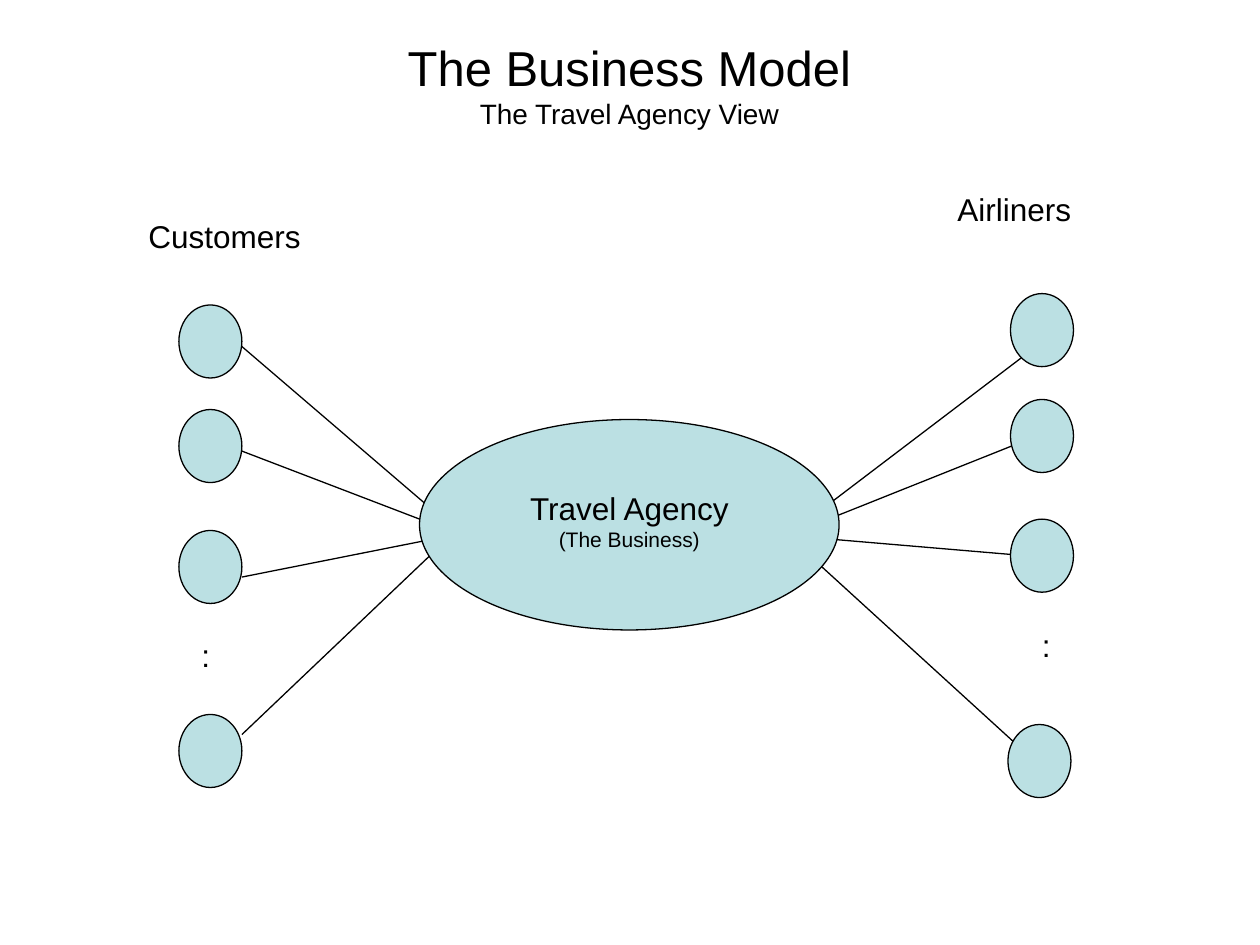
from lxml import etree
from pptx import Presentation
from pptx import util as u
from pptx.dml.color import RGBColor
from pptx.enum import shapes, text
from pptx.oxml.ns import qn

BLACK = RGBColor(0x00, 0x00, 0x00)
TEAL = RGBColor(0xBB, 0xE0, 0xE3)


class Board:
    font = "Arial"
    width = u.Pt(0.75)

    def __init__(self, slide):
        self.slide = slide

    def words(self, shape, rows, align):
        """Fill a shape with (wording, size) paragraphs."""
        frame = shape.text_frame
        frame.word_wrap = False
        frame.auto_size = text.MSO_AUTO_SIZE.NONE
        frame.vertical_anchor = text.MSO_ANCHOR.TOP
        for i, (row, size) in enumerate(rows):
            para = frame.add_paragraph() if i else frame.paragraphs[0]
            para.text = row
            para.alignment = align
            para.font.name = self.font
            para.font.size = u.Pt(size)
            para.font.color.rgb = BLACK

    def title(self, box, rows):
        shape = self.slide.shapes.title
        shape.left, shape.top, shape.width, shape.height = map(u.Inches, box)
        self.words(shape, rows, text.PP_ALIGN.CENTER)

    def label(self, box, rows, align=text.PP_ALIGN.LEFT):
        shape = self.slide.shapes.add_textbox(*map(u.Inches, box))
        self.words(shape, rows, align)

    def oval(self, *box):
        shape = self.slide.shapes.add_shape(
            shapes.MSO_SHAPE.OVAL, *map(u.Inches, box))
        shape.shadow.inherit = False
        shape.fill.solid()
        shape.fill.fore_color.rgb = TEAL
        shape.line.color.rgb = BLACK
        shape.line.width = self.width

    def link(self, start, end):
        line = self.slide.shapes.add_connector(
            shapes.MSO_CONNECTOR.STRAIGHT, *map(u.Inches, start + end))
        line.line.color.rgb = BLACK
        line.line.width = self.width
        etree.SubElement(line._element.spPr, qn("a:effectLst"))


def main():
    deck = Presentation()
    deck.slide_width, deck.slide_height = u.Inches(10), u.Inches(7.5)
    board = Board(deck.slides.add_slide(deck.slide_layouts[5]))

    board.title((3.13, 0.25, 3.73, 0.84),
                [("The Business Model", 28), ("The Travel Agency View", 16)])

    # Each party: (node left, node top, line end at node, line end at agency)
    airlines = [
        (8.02, 2.33, (8.33, 2.67), (6.25, 4.25)),
        (8.02, 3.17, (8.33, 3.42), (6.25, 4.25)),
        (8.02, 4.12, (8.25, 4.42), (6.25, 4.25)),
        (8, 5.75, (8.08, 5.92), (6.25, 4.25)),
    ]
    clients = [
        (1.42, 2.42, (1.92, 2.75), (3.67, 4.25)),
        (1.42, 3.25, (1.92, 3.58), (3.67, 4.25)),
        (1.42, 4.21, (1.92, 4.58), (3.58, 4.25)),
        (1.42, 5.67, (1.92, 5.83), (3.58, 4.25)),
    ]

    # Links lie behind the nodes
    for party in (airlines, clients):
        for _, _, node, hub in party:
            board.link(node, hub)
        for left, top, _, _ in party:
            board.oval(left, top, 0.5, 0.58)

    # Agency in the middle
    board.oval(3.33, 3.33, 3.33, 1.67)
    board.label((4.1, 3.83, 1.79, 0.61),
                [("Travel Agency", 18), ("(The Business)", 12)],
                text.PP_ALIGN.CENTER)

    # Party names and "and so on" marks
    for name, left, top, wide in (("Airliners", 7.5, 1.46, 1.11),
                                  ("Customers", 1.08, 1.67, 1.42),
                                  (":", 8.17, 4.92, 0.27),
                                  (":", 1.5, 5, 0.27)):
        board.label((left, top, wide, 0.4), [(name, 18)])

    deck.save("out.pptx")


if __name__ == "__main__":
    main()
